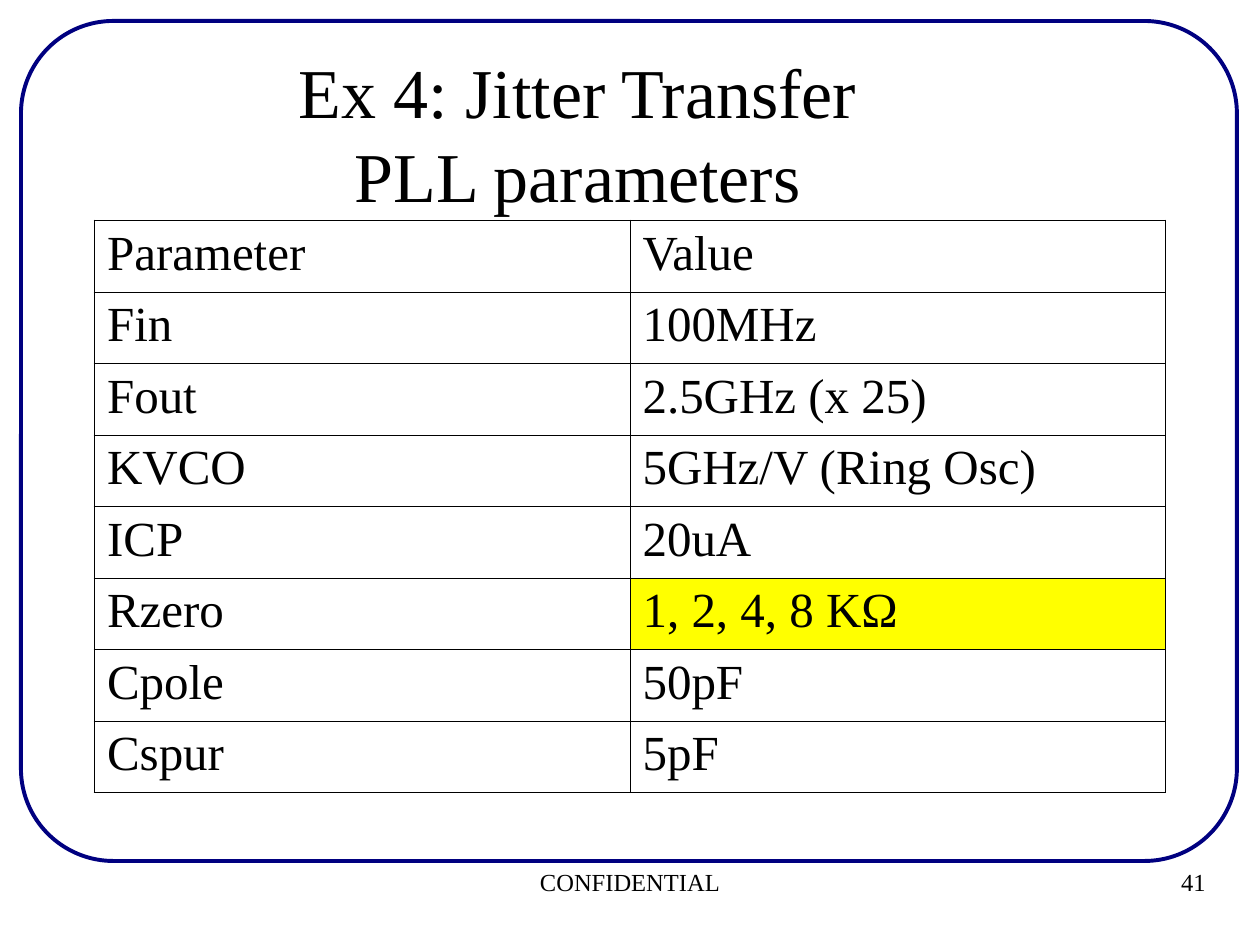
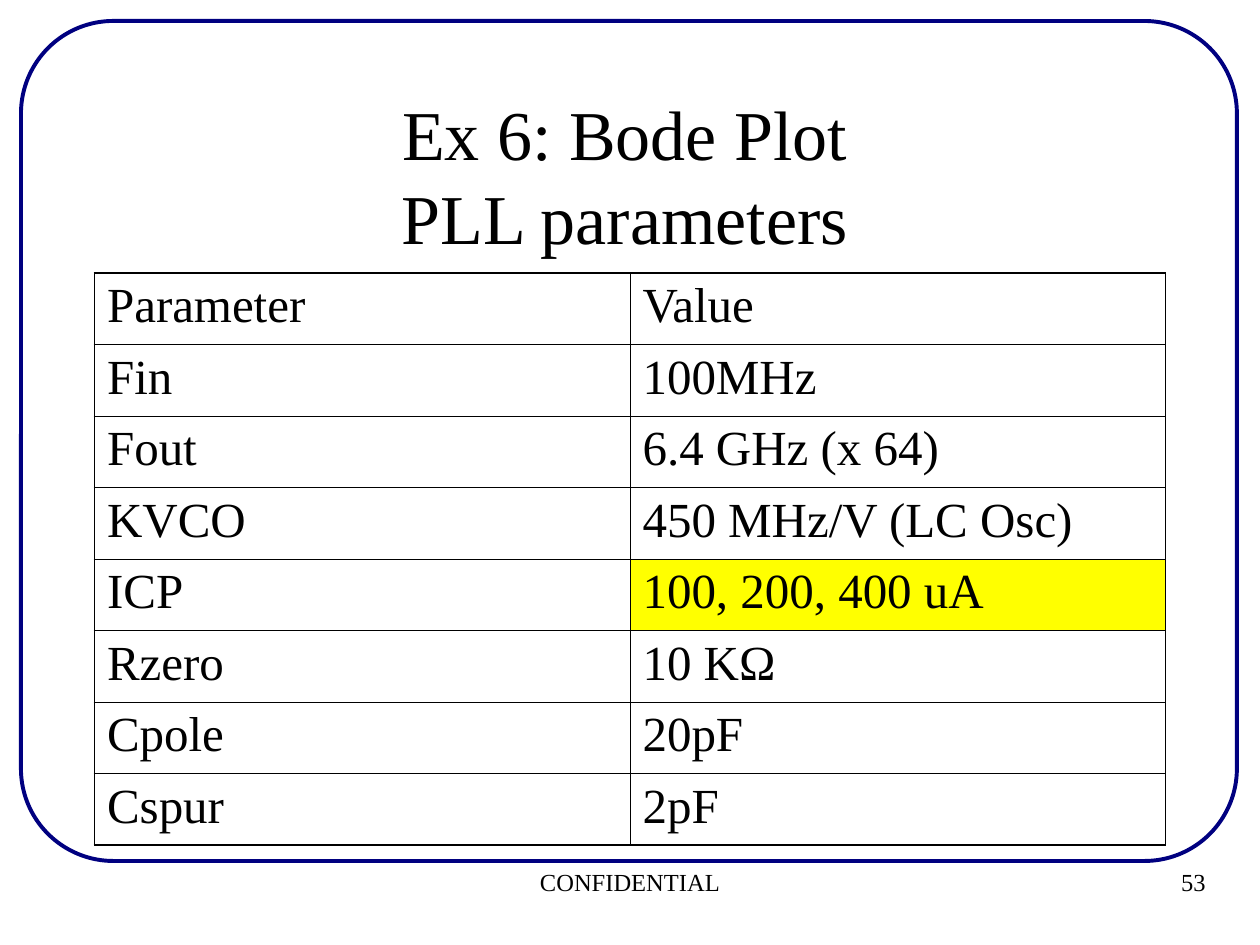
from dataclasses import dataclass
from typing import NamedTuple

from lxml import etree
from pptx import Presentation
from pptx.dml.color import RGBColor
from pptx.enum.shapes import MSO_SHAPE
from pptx.enum.text import MSO_ANCHOR, PP_ALIGN
from pptx.oxml.ns import qn
from pptx.util import Inches, Pt

ROUND = MSO_SHAPE.ROUNDED_RECTANGLE
TOP = MSO_ANCHOR.TOP
CENTER, RIGHT = PP_ALIGN.CENTER, PP_ALIGN.RIGHT

WIDTH, HEIGHT = Inches(10), Inches(7.5)
UNIT = WIDTH // 120  # the slide is a grid of 120 columns by 90 rows
FONT = "Times New Roman"
BLACK, WHITE, NAVY, YELLOW = "000000", "FFFFFF", "000080", "FFFF00"
TITLE_SIZE, CELL_SIZE, FOOT_SIZE = 40, 28, 14
LEADING = 1.2
THICK, THIN = 1.08, 0.45
NAMES = ("Parameter", "Fin", "Fout", "KVCO", "ICP", "Rzero", "Cpole", "Cspur")


class Box(NamedTuple):
    """A place on the grid, in columns and rows."""
    left: float
    top: float
    width: float
    height: float

    def place(self) -> list[int]:
        return [round(n * UNIT) for n in self]


FRAME = Box(2, 2, 115.8, 80)
FOOTER = Box(2, 82, 116, 6)
NUMBER = Box(110, 82, 6, 5)


@dataclass
class Page:
    number: int
    lines: tuple[str, ...]
    title: Box
    table: Box
    values: tuple[str, ...]
    marked: str  # name of the parameter shown in yellow


PAGES = (
    Page(41, ("Ex 4: Jitter Transfer", "PLL parameters"),
         Box(9, 4, 92, 15), Box(9, 21, 102, 54.4),
         ("Value", "100MHz", "2.5GHz (x 25)", "5GHz/V (Ring Osc)", "20uA",
          "1, 2, 4, 8 KΩ", "50pF", "5pF"), "Rzero"),
    Page(53, ("Ex 6: Bode Plot", "PLL parameters"),
         Box(21, 8, 77, 15), Box(9, 26, 102, 54.4),
         ("Value", "100MHz", "6.4 GHz (x 64)", "450 MHz/V (LC Osc)",
          "100, 200, 400 uA", "10 KΩ", "20pF", "2pF"), "ICP"),
)


def color(code: str) -> RGBColor:
    return RGBColor.from_string(code)


def paint(item, code: str) -> None:
    item.fill.solid()
    item.fill.fore_color.rgb = color(code)


def add_run(para, text: str, size: int) -> None:
    run = para.add_run()
    run.text = text
    run.font.name = FONT
    run.font.size = Pt(size)
    run.font.color.rgb = color(BLACK)


def add_text(slide, box: Box, lines: tuple[str, ...], size: int, align):
    """Add one paragraph whose lines are split by line breaks."""
    shape = slide.shapes.add_textbox(*box.place())
    frame = shape.text_frame
    frame.word_wrap = True
    frame.vertical_anchor = TOP
    para = frame.paragraphs[0]
    para.alignment = align
    para.line_spacing = Pt(size * LEADING)
    for i, line in enumerate(lines):
        if i:
            para.add_line_break()
        add_run(para, line, size)
    return shape


def add_frame(slide) -> None:
    shape = slide.shapes.add_shape(ROUND, *FRAME.place())
    shape.adjustments[0] = 0.11
    shape.shadow.inherit = False
    shape.fill.background()
    shape.line.color.rgb = color(NAVY)
    shape.line.width = Pt(2.25)


def add_edges(cell, widths: dict[str, float]) -> None:
    """Draw the cell's borders; they must stand before its fill."""
    props = cell._tc.get_or_add_tcPr()
    for i, (side, width) in enumerate(widths.items()):
        edge = etree.Element(qn(f"a:ln{side}"), w=str(Pt(width)))
        fill = etree.SubElement(edge, qn("a:solidFill"))
        etree.SubElement(fill, qn("a:srgbClr"), val=BLACK)
        props.insert(i, edge)


def add_table(slide, page: Page) -> None:
    count = len(NAMES)
    table = slide.shapes.add_table(count, 2, *page.table.place()).table
    table.first_row = table.horz_banding = False
    for r, pair in enumerate(zip(NAMES, page.values)):
        for c, text in enumerate(pair):
            cell = table.cell(r, c)
            add_run(cell.text_frame.paragraphs[0], text, CELL_SIZE)
            paint(cell, YELLOW if c and pair[0] == page.marked else WHITE)
            outer = {"L": c == 0, "R": c == 1, "T": r == 0, "B": r == count - 1}
            add_edges(cell, {side: THICK if out else THIN
                             for side, out in outer.items()})


def add_page(deck, page: Page) -> None:
    slide = deck.slides.add_slide(deck.slide_layouts[6])
    paint(slide.background, WHITE)
    add_frame(slide)
    add_text(slide, NUMBER, (str(page.number),), FOOT_SIZE, RIGHT)
    add_text(slide, FOOTER, ("CONFIDENTIAL",), FOOT_SIZE, CENTER)
    paint(add_text(slide, page.title, page.lines, TITLE_SIZE, CENTER), WHITE)
    add_table(slide, page)


def main() -> None:
    deck = Presentation()
    deck.slide_width, deck.slide_height = WIDTH, HEIGHT
    for page in PAGES:
        add_page(deck, page)
    deck.save("out.pptx")


if __name__ == "__main__":
    main()
